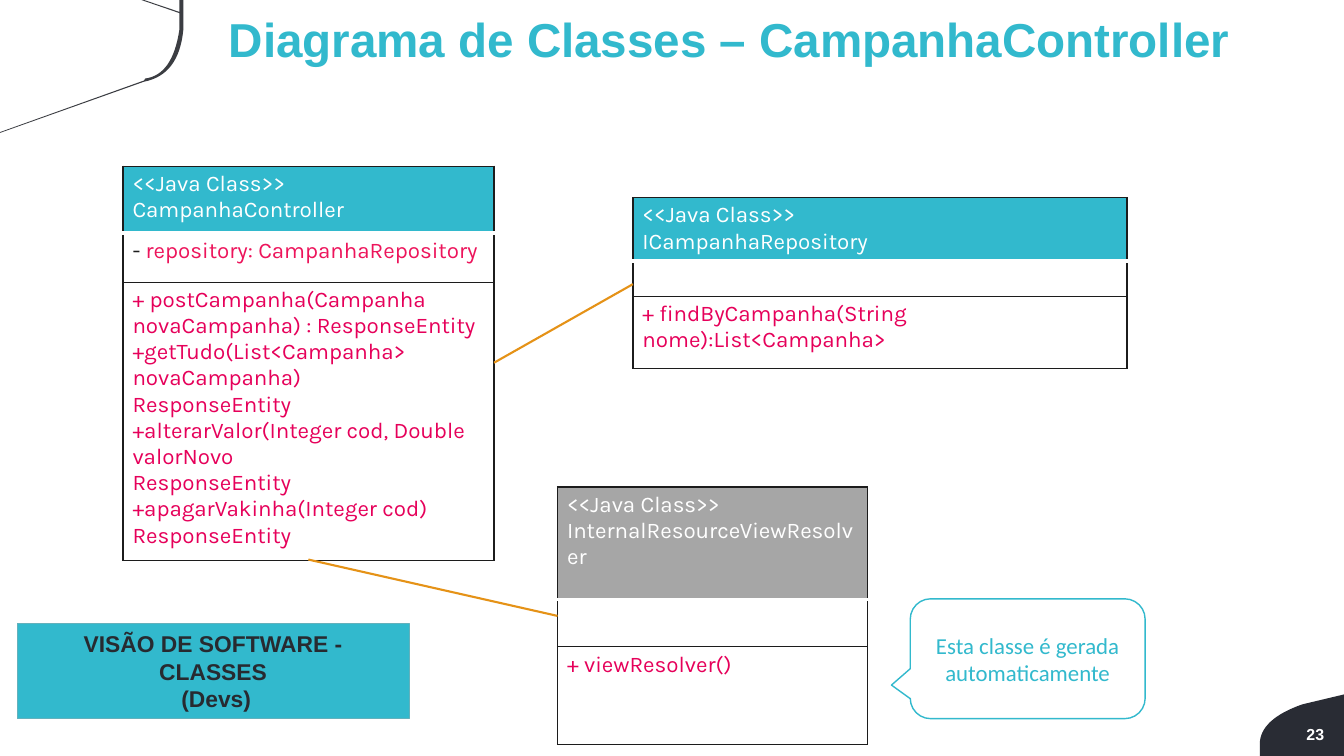
from lxml import etree
from pptx import Presentation
from pptx.dml.color import RGBColor
from pptx.enum.shapes import MSO_CONNECTOR, MSO_SHAPE
from pptx.enum.text import MSO_ANCHOR, PP_ALIGN
from pptx.oxml.ns import qn
from pptx.util import Cm, Pt

LINE = MSO_CONNECTOR.STRAIGHT
RECT = MSO_SHAPE.RECTANGLE
CALLOUT = MSO_SHAPE.ROUNDED_RECTANGULAR_CALLOUT
LEFT, MID, RIGHT = PP_ALIGN.LEFT, PP_ALIGN.CENTER, PP_ALIGN.RIGHT
TOP, CENTER = MSO_ANCHOR.TOP, MSO_ANCHOR.MIDDLE
TITLE_ONLY = 5

HEX = {
    "teal": "32B9CD", "edge": "63B1BC", "gray": "A6A6A6", "white": "FFFFFF",
    "ink": "1C1C1C", "dark": "272A30", "navy": "292C34", "slate": "3B3D42",
    "pink": "E6005A", "rose": "ED145B", "amber": "E59217",
}


def rgb(name):
    """Return the named colour."""
    return RGBColor.from_string(HEX[name])


def curve(start, pull, end, steps=16):
    """Return points along a quadratic curve."""
    spots = []
    for i in range(steps + 1):
        t = i / steps
        spots.append(tuple((1 - t) ** 2 * a + 2 * t * (1 - t) * b + t * t * c
                           for a, b, c in zip(start, pull, end)))
    return spots


class Deck:
    """Holds the style and the current slide."""

    def __init__(self):
        """Open a wide deck with one titled slide."""
        self.show = Presentation()
        self.show.slide_width, self.show.slide_height = Cm(33.87), Cm(19.05)
        self.slide = self.show.slides.add_slide(
            self.show.slide_layouts[TITLE_ONLY])
        self.shapes = self.slide.shapes

    def style(self, para, face, size, color, bold=False, align=LEFT):
        """Set the font and alignment of a paragraph."""
        font = para.font
        font.name, font.size, font.bold = face, Pt(size), bold
        font.color.rgb = rgb(color)
        para.alignment = align

    def put(self, frame, lines, *look, **more):
        """Fill a text frame with one paragraph per line."""
        frame.word_wrap = True
        for i, line in enumerate(lines):
            para = frame.paragraphs[0] if i == 0 else frame.add_paragraph()
            self.style(para, *look, **more)
            for text, color in [(line, None)] if isinstance(line, str) else line:
                run = para.add_run()
                run.text = text
                if color:
                    run.font.color.rgb = rgb(color)

    def title(self, text, box):
        """Move and fill the title placeholder."""
        head = self.shapes.title
        head.left, head.top, head.width, head.height = map(Cm, box)
        frame = head.text_frame
        frame.vertical_anchor = TOP
        self.put(frame, [text], "Arial", 34, "teal", bold=True)
        frame.paragraphs[0].line_spacing = 0.9

    def outline(self, spots, color):
        """Draw a closed, filled outline."""
        first, *rest = [(Cm(x), Cm(y)) for x, y in spots]
        pen = self.shapes.build_freeform(*first)
        pen.add_line_segments(rest)
        form = pen.convert_to_shape()
        form.shadow.inherit = False
        form.fill.solid()
        form.fill.fore_color.rgb = rgb(color)
        form.line.fill.background()

    def label(self, text, box):
        """Place the page number."""
        frame = self.shapes.add_textbox(*map(Cm, box)).text_frame
        frame.margin_left = frame.margin_right = Cm(0.05)
        frame.margin_top = frame.margin_bottom = Cm(0.03)
        self.put(frame, [text], "Arial", 11.4, "white", bold=True, align=RIGHT)

    def shape(self, kind, box, lines, face, ink, edge, width, fill=None,
              bold=False):
        """Draw a preset shape with centred text."""
        form = self.shapes.add_shape(kind, *map(Cm, box))
        form.shadow.inherit = False
        if fill:
            form.fill.solid()
            form.fill.fore_color.rgb = rgb(fill)
        else:
            form.fill.background()
        form.line.color.rgb = rgb(edge)
        form.line.width = Pt(width)
        form.text_frame.vertical_anchor = CENTER
        self.put(form.text_frame, lines, face, 16.3, ink, bold=bold, align=MID)
        return form

    def link(self, start, end):
        """Join two classes with a line."""
        line = self.shapes.add_connector(LINE, *map(Cm, start + end))
        line.line.color.rgb = rgb("amber")
        line.line.width = Pt(1.5)
        etree.SubElement(line._element.spPr, qn("a:effectLst"))

    def border(self, cell, **sides):
        """Set cell borders; sides maps L, R, T, B to (colour, points)."""
        props = cell._tc.get_or_add_tcPr()
        for side in "LRTB":
            color, width = sides.get(side, ("ink", 1))
            edge = etree.SubElement(props, qn("a:ln" + side), w=str(Pt(width)))
            fill = etree.SubElement(edge, qn("a:solidFill"))
            etree.SubElement(fill, qn("a:srgbClr"), val=HEX[color])

    def uml(self, left, top, width, rows, name, fields, calls, fill="teal"):
        """Draw a class as a table of name, fields and methods."""
        table = self.shapes.add_table(
            3, 1, Cm(left), Cm(top), Cm(width), Cm(sum(rows))).table
        table.first_row = table.horz_banding = False
        table.columns[0].width = Cm(width)
        parts = [
            (["<<Java Class>>", name], "white", {"B": ("white", 3)}),
            (fields, "rose", {"T": ("white", 1)}),
            (calls, "pink", {}),
        ]
        for i, (lines, color, sides) in enumerate(parts):
            table.rows[i].height = Cm(rows[i])
            cell = table.cell(i, 0)
            cell.margin_left = cell.margin_right = Cm(0.24)
            cell.margin_top = cell.margin_bottom = Cm(0.12)
            self.border(cell, **sides)
            if i == 0:
                cell.fill.solid()
                cell.fill.fore_color.rgb = rgb(fill)
            else:
                cell.fill.background()
            if lines:
                self.put(cell.text_frame, lines, "Karla", 16, color)
            else:
                self.style(cell.text_frame.paragraphs[0], "Karla", 12, color)


deck = Deck()
deck.outline([(33.87, 17.5),
              *curve((32.82, 17.75), (31.75, 18.13), (31.75, 18.75)),
              (31.75, 19.05), (33.87, 19.05)], "navy")
deck.outline([(0, 3.35), *curve((3.63, 2.06), (4.51, 1.89), (4.62, 0.76)),
              (4.62, 0), (4.52, 0), (4.52, 0.3), (3.63, 0), (3.56, 0),
              (4.52, 0.33), *curve((4.52, 0.76), (4.35, 1.89), (3.66, 1.98)),
              (3.63, 2.03), (0, 3.33)], "slate")
deck.label("23", (31.85, 18.24, 1.57, 0.53))
deck.title("Diagrama de Classes – CampanhaController", (5.51, 0.28, 27.15, 1.93))

deck.uml(3.1, 4.19, 9.35, (1.68, 1.24, 6.83), "CampanhaController",
         [[("- ", "ink"), ("repository: CampanhaRepository", None)]],
         ["+ postCampanha(Campanha novaCampanha) : ResponseEntity",
          "+getTudo(List<Campanha> novaCampanha)", "ResponseEntity",
          "+alterarValor(Integer cod, Double valorNovo", "ResponseEntity",
          "+apagarVakinha(Integer cod)", "ResponseEntity"])
deck.uml(15.95, 4.98, 12.45, (1.57, 0.89, 1.83), "ICampanhaRepository", [],
         ["+ findByCampanha(String nome):List<Campanha>"])
deck.uml(14.05, 12.27, 7.82, (2.84, 1.19, 2.46), "InternalResourceViewResolver",
         [], ["+ viewResolver()"], fill="gray")
deck.link((12.45, 9.14), (15.95, 7.16))
deck.link((7.77, 14.1), (14.05, 15.52))

note = deck.shape(CALLOUT, (22.94, 15.09, 5.92, 3.02),
                  ["Esta classe é gerada automaticamente"],
                  "Calibri", "teal", "teal", 1)
for i, value in enumerate((-0.58, 0.22, 0.17)):
    note.adjustments[i] = value
deck.shape(RECT, (0.43, 15.72, 9.88, 2.39),
           ["VISÃO DE SOFTWARE - CLASSES", " (Devs)"],
           "Arial", "dark", "edge", 0.5, fill="teal", bold=True)
deck.show.save("out.pptx")
